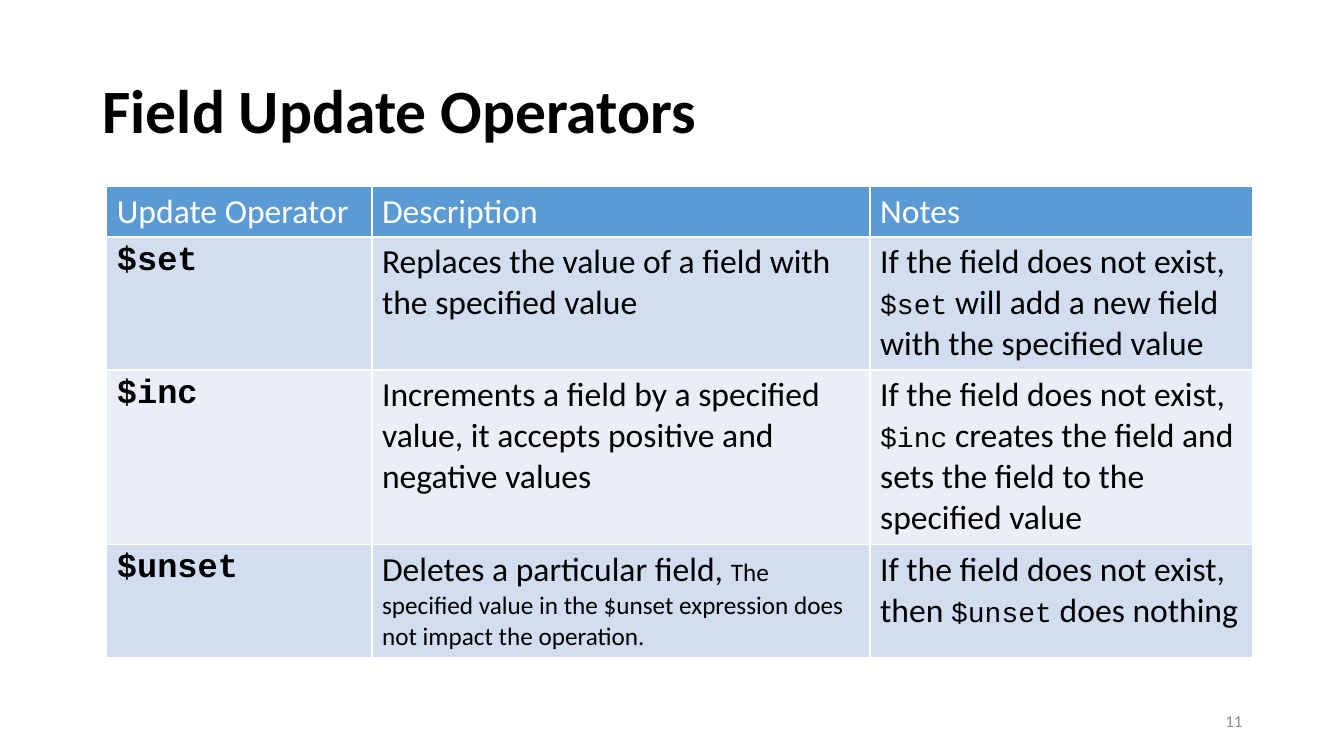
from lxml import etree
from pptx import Presentation
from pptx.dml.color import RGBColor
from pptx.enum.text import MSO_ANCHOR, PP_ALIGN
from pptx.oxml.ns import qn
from pptx.util import Inches, Pt

MIDDLE = MSO_ANCHOR.MIDDLE
LEFT, RIGHT = PP_ALIGN.LEFT, PP_ALIGN.RIGHT
BODY, CODE = "Calibri", "Courier New"
COLORS = {
    "text": "000000",
    "white": "FFFFFF",
    "header": "5B9BD5",
    "odd": "D2DEEF",
    "even": "EAEFF7",
    "number": "8C8C8C",
}
COL_WIDTHS = [2.63, 4.94, 3.79]
ROW_HEIGHTS = [0.5, 1.32, 1.73, 1.12]
HEADERS = ["Update Operator", "Description", "Notes"]
MISSING = "If the field does not exist, "
OPERATORS = [
    ("$set",
     [("Replaces the value of a field with the specified value",)],
     [(MISSING,), ("$set", 20, CODE),
      (" will add a new field with the specified value",)]),
    ("$inc",
     [("Increments a field by a specified value, it accepts positive "
       "and negative values",)],
     [(MISSING,), ("$inc", 20, CODE),
      (" creates the field and sets the field to the specified value",)]),
    ("$unset",
     [("Deletes a particular field, ",),
      ("The specified value in the\u00a0$unset\u00a0expression does not "
       "impact the operation.", 18)],
     [(MISSING + "then ",), ("$unset", 20, CODE), (" does nothing",)]),
]


def add_run(p, text, size=24, font=BODY, bold=False, color="text"):
    """Append one formatted run to a paragraph."""
    r = p.add_run()
    r.text = text
    r.font.size = Pt(size)
    r.font.name = font
    r.font.bold = bold
    r.font.color.rgb = RGBColor.from_string(COLORS[color])


def add_text(slide, box, text, align=LEFT, spacing=1.0, **style):
    """Add a wrapped, vertically centred text box."""
    sp = slide.shapes.add_textbox(*map(Inches, box))
    tf = sp.text_frame
    tf.word_wrap = True
    tf.vertical_anchor = MIDDLE
    p = tf.paragraphs[0]
    p.alignment = align
    p.line_spacing = spacing
    add_run(p, text, **style)


def set_borders(cell, color="white", width=1):
    """Draw the same line on all four sides of a cell."""
    tc_pr = cell._tc.get_or_add_tcPr()
    for i, side in enumerate(("lnL", "lnR", "lnT", "lnB")):
        ln = etree.Element(qn(f"a:{side}"), w=str(Pt(width)))
        fill = etree.SubElement(ln, qn("a:solidFill"))
        etree.SubElement(fill, qn("a:srgbClr"), val=COLORS[color])
        tc_pr.insert(i, ln)


def fill_cell(cell, runs, fill, **style):
    """Fill a cell with a colour, borders and runs."""
    cell.fill.solid()
    cell.fill.fore_color.rgb = RGBColor.from_string(COLORS[fill])
    set_borders(cell)
    for run in runs:
        add_run(cell.text_frame.paragraphs[0], *run, **style)


def add_operator_table(slide, left, top):
    """Add the table of update operators."""
    size = (sum(COL_WIDTHS), sum(ROW_HEIGHTS))
    table = slide.shapes.add_table(
        len(ROW_HEIGHTS), len(COL_WIDTHS),
        *map(Inches, (left, top, *size))).table
    for col, width in zip(table.columns, COL_WIDTHS):
        col.width = Inches(width)
    for row, height in zip(table.rows, ROW_HEIGHTS):
        row.height = Inches(height)
    for c, header in enumerate(HEADERS):
        fill_cell(table.cell(0, c), [(header,)], "header", color="white")
    for i, (name, description, notes) in enumerate(OPERATORS, 1):
        band = "odd" if i % 2 else "even"
        fill_cell(table.cell(i, 0), [(name, 24, CODE, True)], band)
        fill_cell(table.cell(i, 1), description, band)
        fill_cell(table.cell(i, 2), notes, band)


def main():
    """Build the slide and save it."""
    prs = Presentation()
    prs.slide_width, prs.slide_height = Inches(13.33), Inches(7.5)
    slide = prs.slides.add_slide(prs.slide_layouts[6])
    add_text(slide, (0.92, 0.4, 11.5, 1.45), "Field Update Operators",
             spacing=0.9, size=44, bold=True)
    add_operator_table(slide, 1.06, 1.85)
    add_text(slide, (9.42, 6.95, 3, 0.4), "11", RIGHT,
             size=12, color="number")
    prs.save("out.pptx")


main()
